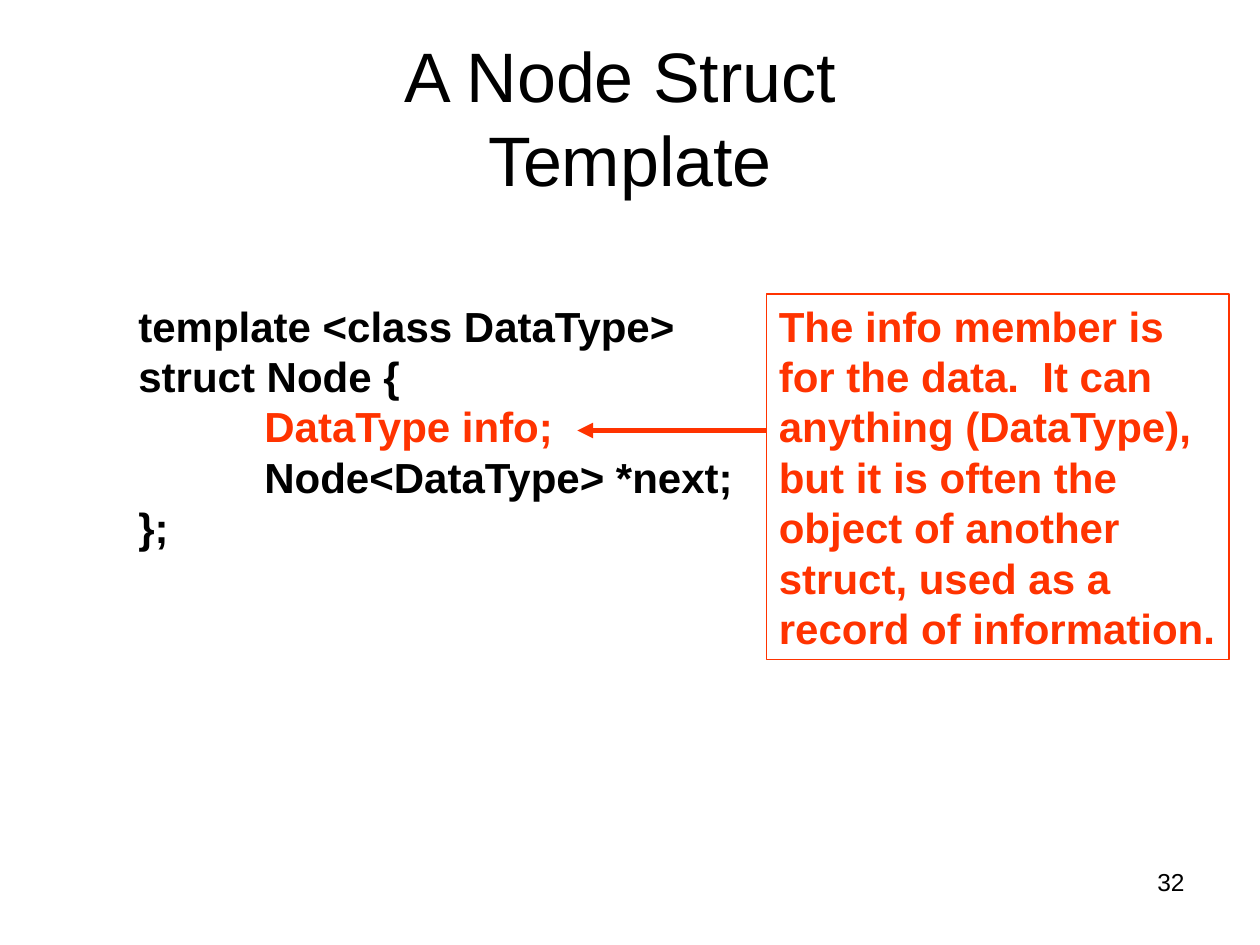
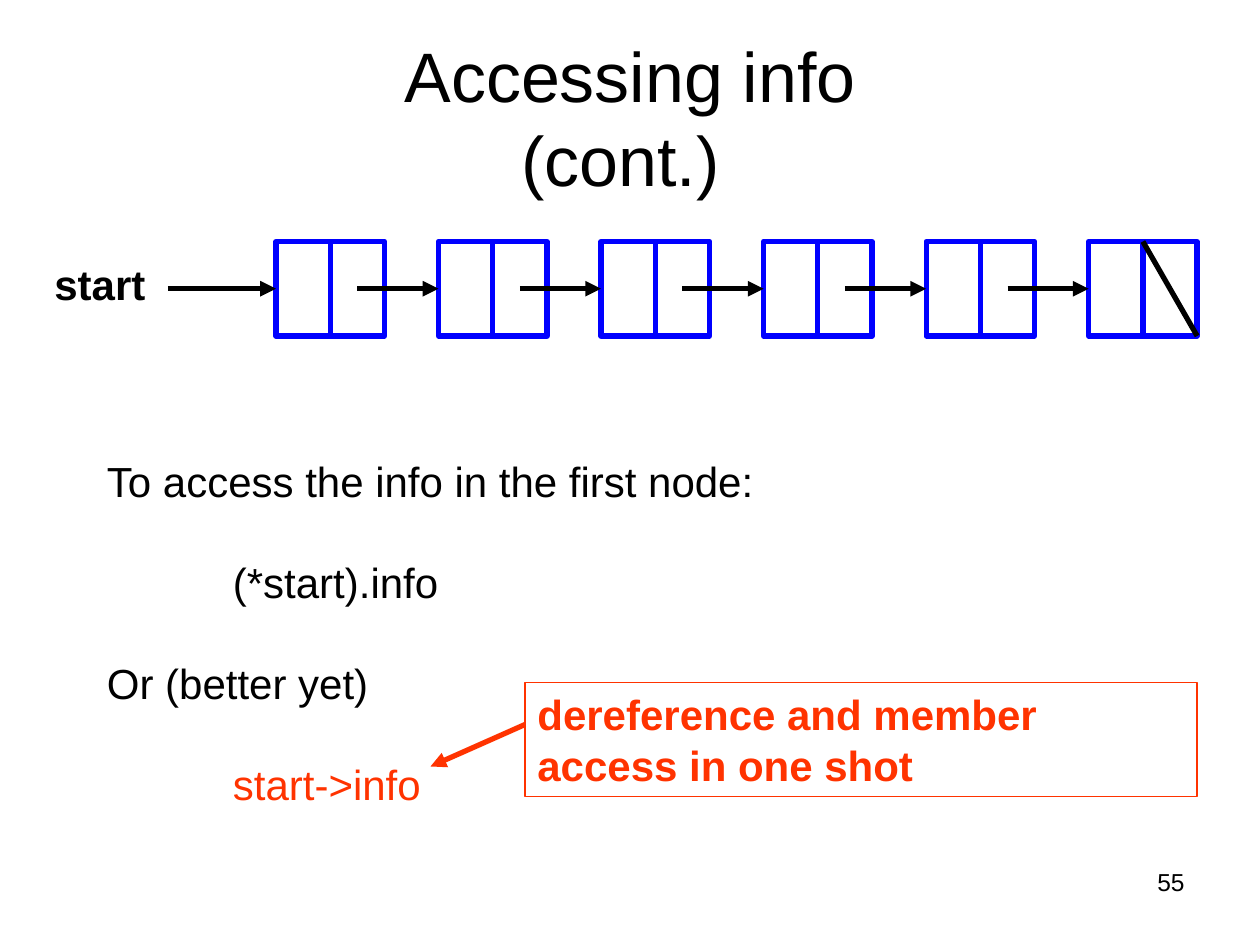
import pptx
import pptx.util
import pptx.dml.color
import pptx.enum.shapes
import pptx.enum.text
import pptx.oxml.ns
import lxml.etree

Pt = pptx.util.Pt
tint = pptx.dml.color.RGBColor.from_string
qn = pptx.oxml.ns.qn
RECT = pptx.enum.shapes.MSO_SHAPE.RECTANGLE
STRAIGHT = pptx.enum.shapes.MSO_CONNECTOR.STRAIGHT
ALIGN = pptx.enum.text.PP_ALIGN
ANCHOR = pptx.enum.text.MSO_ANCHOR

BLACK, RED, BLUE, WHITE = "000000", "FF3300", "0000FF", "FFFFFF"
FONT = "Arial"
TAB = 72


def write(slide, text, at, size=24, color=BLACK, bold=False, align=ALIGN.LEFT,
          anchor=ANCHOR.TOP, gap=0, edge=None):
    """Each paragraph is a string or a tuple (string, indent level, colour)."""
    spot = [Pt(n) for n in at]
    if edge:
        box = slide.shapes.add_shape(RECT, *spot)
        box.shadow.inherit = False
        box.fill.background()
        box.line.color.rgb = tint(edge)
        box.line.width = Pt(0.75)
    else:
        box = slide.shapes.add_textbox(*spot)
    frame = box.text_frame
    frame.word_wrap = True
    frame.vertical_anchor = anchor
    for i, item in enumerate(text):
        words, level, hue = item if isinstance(item, tuple) else (item, 0, color)
        para = frame.add_paragraph() if i else frame.paragraphs[0]
        para.text = words
        para.alignment = align
        para.line_spacing = Pt(1.2 * size)
        para.space_before = Pt(gap if i else 0)
        if level:
            para._p.get_or_add_pPr().set("marL", str(Pt(level * TAB)))
        for run in para.runs:
            run.font.name = FONT
            run.font.size = Pt(size)
            run.font.bold = bold
            run.font.color.rgb = tint(hue)


def link(slide, ends, color=BLACK, arrow=True, start=None, stop=None):
    """Draw a line; start and stop are (shape, side) pairs to join."""
    line = slide.shapes.add_connector(STRAIGHT, *[Pt(n) for n in ends])
    if start:
        line.begin_connect(*start)
    if stop:
        line.end_connect(*stop)
    line.line.color.rgb = tint(color)
    line.line.width = Pt(3)
    if arrow:
        tail = lxml.etree.SubElement(line.line._get_or_add_ln(), qn("a:tailEnd"))
        tail.set("type", "triangle")
    lxml.etree.SubElement(line._element.spPr, qn("a:effectLst"))


deck = pptx.Presentation()
deck.slide_width, deck.slide_height = Pt(720), Pt(540)

# Titles and page numbers
slides = []
for title, page in (("A Node Struct \vTemplate", "32"),
                    ("Accessing info\v(cont.) ", "55")):
    slide = deck.slides.add_slide(deck.slide_layouts[6])
    write(slide, [title], (36, 21.6, 648, 90), size=40,
          align=ALIGN.CENTER, anchor=ANCHOR.MIDDLE)
    write(slide, [page], (516, 492, 168, 37.5), size=14, align=ALIGN.RIGHT)
    slides.append(slide)
struct, access = slides

# Struct code
code = [("template <class DataType>", 1, BLACK),
        ("struct Node {", 1, BLACK),
        ("DataType info;", 2, RED),
        ("Node<DataType> *next;", 2, BLACK),
        ("};", 1, BLACK)]
write(struct, code, (0, 168, 456, 180), bold=True)

# Note on the info member
note = ["The info member is for the data.  It can",
        "anything (DataType), but it is often the object of another struct, "
        "used as a record of information."]
write(struct, note, (438, 168, 264.3, 208.8), color=RED, bold=True, edge=RED)
link(struct, (438, 246, 330, 246), RED)

# Ways to reach info
ways = ["To access the info in the first node:",
        ("(*start).info", 1, BLACK),
        "Or (better yet)",
        ("start->info", 1, RED)]
write(access, ways, (54, 257, 636, 237.6), gap=28.8)

# Linked list: nodes with a divider
left, top, wide, high, step, count = 157.7, 138, 62, 54, 92.88, 6
mid = top + high / 2
nodes = []
for i in range(count):
    x = left + i * step
    node = access.shapes.add_shape(RECT, Pt(x), Pt(top), Pt(wide), Pt(high))
    node.shadow.inherit = False
    node.fill.solid()
    node.fill.fore_color.rgb = tint(WHITE)
    node.line.color.rgb = tint(BLUE)
    node.line.width = Pt(3)
    half = x + wide / 2
    link(access, (half, top, half, top + high), BLUE, arrow=False,
         start=(node, 0), stop=(node, 2))
    nodes.append(node)

# Pointers into each node, and the null mark in the last
for i, node in enumerate(nodes):
    x = left + i * step
    tail = x - step + wide * 0.75 if i else 96
    link(access, (tail, mid, x, mid), stop=(node, 1))
link(access, (half, top, x + wide, top + high), arrow=False, start=(nodes[-1], 0))
write(access, ["start"], (24, 144, 78, 36), bold=True)

# Note on the arrow operator
write(access, ["dereference and member access in one shot"],
      (300, 390, 384, 65), color=RED, bold=True, edge=RED)
link(access, (300, 414, 246, 438), RED)

deck.save("out.pptx")
